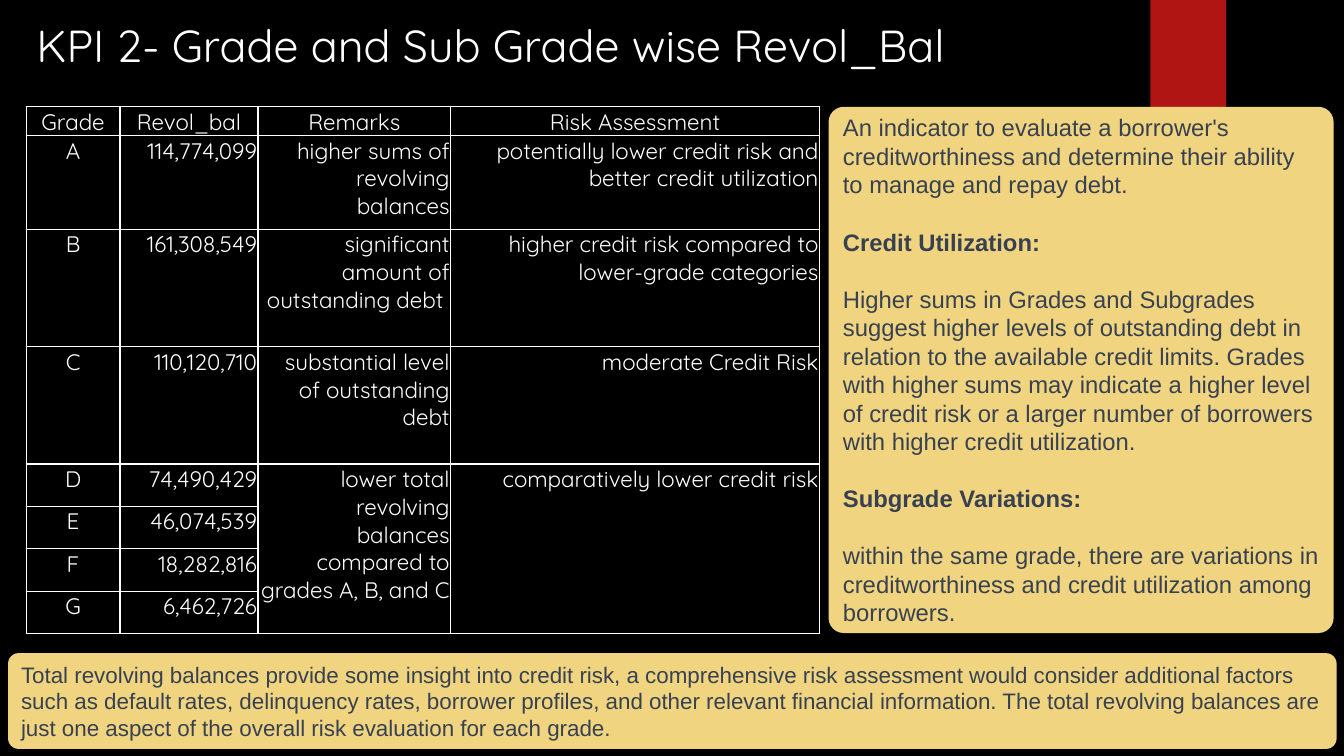
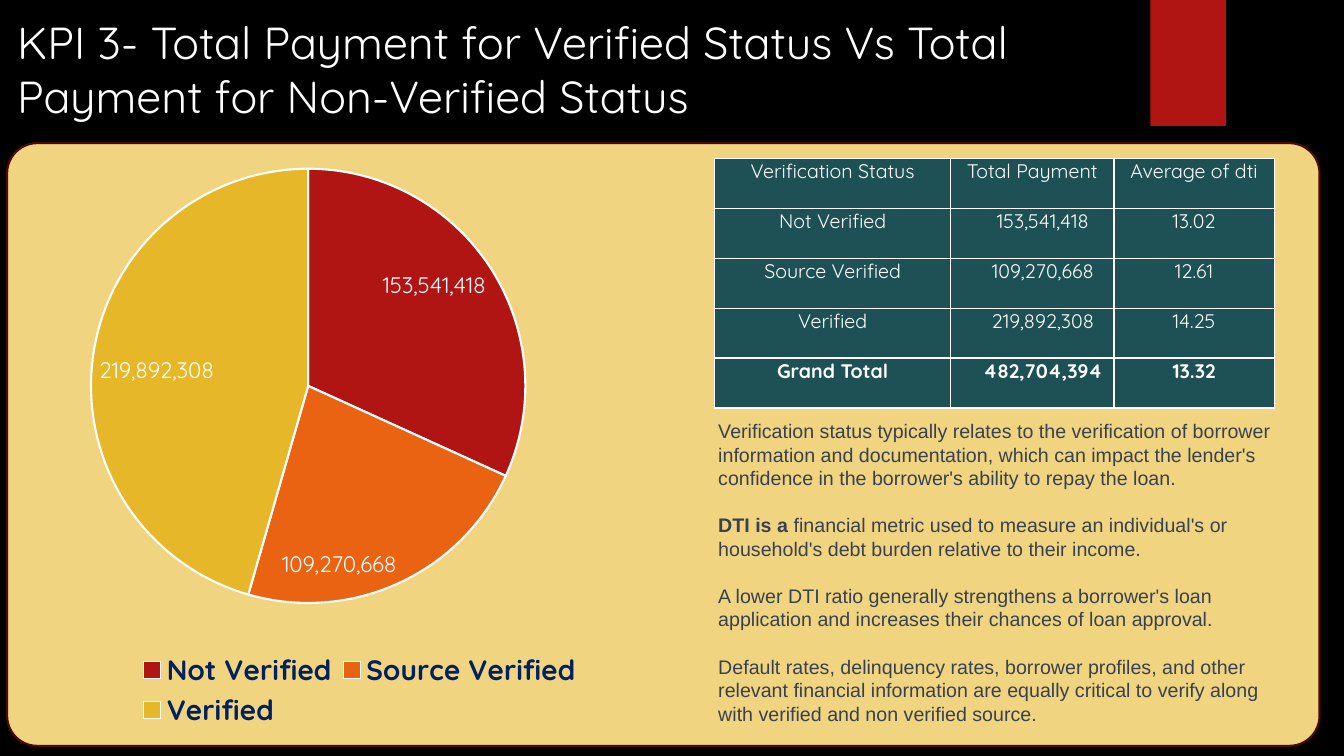
from dataclasses import dataclass
from typing import NamedTuple

from lxml import etree
from pptx import Presentation
from pptx.chart.data import CategoryChartData
from pptx.dml.color import RGBColor as Rgb
from pptx.enum.chart import XL_CHART_TYPE as ChartType
from pptx.enum.chart import XL_LABEL_POSITION as LabelPosition
from pptx.enum.chart import XL_LEGEND_POSITION as LegendPosition
from pptx.enum.shapes import MSO_SHAPE as Preset
from pptx.enum.text import MSO_ANCHOR as Anchor
from pptx.enum.text import PP_ALIGN as Align
from pptx.oxml import parse_xml
from pptx.oxml.ns import nsdecls, qn
from pptx.slide import Slide, SlideLayout
from pptx.util import Inches, Pt

SLIDE_WIDTH, SLIDE_HEIGHT = Inches(13.33), Inches(7.5)
TITLE_ONLY = 5


@dataclass(frozen=True)
class Theme:
    background: Rgb = Rgb.from_string("000000")
    light: Rgb = Rgb.from_string("FFFFFF")
    accent: Rgb = Rgb.from_string("B01513")
    orange: Rgb = Rgb.from_string("EA6312")
    gold: Rgb = Rgb.from_string("E6B729")
    panel: Rgb = Rgb.from_string("F0D47F")
    panel_line: Rgb = Rgb.from_string("4D0908")
    body_text: Rgb = Rgb.from_string("374151")
    table_fill: Rgb = Rgb.from_string("1E5155")
    legend_text: Rgb = Rgb.from_string("002060")
    heading_font: str = "Quicksand"
    body_font: str = "Arial"
    title_size: int = 32
    legend_size: int = 20
    large_size: int = 17
    medium_size: int = 16
    small_size: int = 14
    line_pitch: float = 1.2


THEME = Theme()


class Box(NamedTuple):
    """Left, top, width and height in percent of the slide."""

    left: float
    top: float
    width: float
    height: float

    def emu(self) -> tuple[int, int, int, int]:
        return (round(SLIDE_WIDTH * self.left / 100), round(SLIDE_HEIGHT * self.top / 100),
                round(SLIDE_WIDTH * self.width / 100), round(SLIDE_HEIGHT * self.height / 100))


class Run(NamedTuple):
    text: str
    bold: bool = False


@dataclass(frozen=True)
class Panel:
    box: Box
    corner: float
    paragraphs: tuple[tuple[Run, ...], ...] = ()
    size: int = THEME.medium_size
    outlined: bool = False


@dataclass(frozen=True)
class Grid:
    """A table; column and row values are relative shares of the box."""

    box: Box
    columns: tuple[float, ...]
    rows: tuple[float, ...]
    cells: tuple[tuple[str, ...], ...]
    aligns: tuple[Align, ...]
    size: int
    fill: Rgb | None = None
    indents: tuple[float, ...] = ()
    bold_last_row: bool = False
    merges: tuple[tuple[int, int, int, int], ...] = ()


def style_font(font, name: str, size: int, color: Rgb, bold: bool = False) -> None:
    font.name, font.size, font.bold = name, Pt(size), bold
    font.color.rgb = color


def add_title_slide(presentation, title: str, box: Box) -> Slide:
    slide = presentation.slides.add_slide(presentation.slide_layouts[TITLE_ONLY])
    placeholder = slide.shapes.title
    placeholder.left, placeholder.top, placeholder.width, placeholder.height = box.emu()
    frame = placeholder.text_frame
    frame.text = title
    frame.word_wrap, frame.vertical_anchor = True, Anchor.TOP
    paragraph = frame.paragraphs[0]
    paragraph.alignment = Align.LEFT
    paragraph.line_spacing = Pt(THEME.title_size * THEME.line_pitch)
    style_font(paragraph.font, THEME.heading_font, THEME.title_size, THEME.light)
    return slide


def move_band_to_layout(slide: Slide, layout: SlideLayout) -> None:
    """Draw the red band and hand it to the layout that all slides share."""
    band = slide.shapes.add_shape(Preset.RECTANGLE, *Box(85.6, 0, 5.63, 16.67).emu())
    band.shadow.inherit = False
    band.fill.solid()
    band.fill.fore_color.rgb = THEME.accent
    band.line.fill.background()
    layout.shapes.element.append(band.element)


def add_panel(slide: Slide, panel: Panel) -> None:
    shape = slide.shapes.add_shape(Preset.ROUNDED_RECTANGLE, *panel.box.emu())
    shape.adjustments[0] = panel.corner
    shape.shadow.inherit = False
    shape.fill.solid()
    shape.fill.fore_color.rgb = THEME.panel
    if panel.outlined:
        shape.line.color.rgb, shape.line.width = THEME.panel_line, Pt(1.5)
    else:
        shape.line.fill.background()
    frame = shape.text_frame
    frame.word_wrap, frame.vertical_anchor = True, Anchor.MIDDLE
    line_height = Pt(panel.size * THEME.line_pitch)
    for index, runs in enumerate(panel.paragraphs):
        paragraph = frame.add_paragraph() if index else frame.paragraphs[0]
        paragraph.alignment, paragraph.line_spacing = Align.LEFT, line_height
        paragraph.space_before = line_height if index else 0
        style_font(paragraph.font, THEME.body_font, panel.size, THEME.body_text)
        for part in runs:
            run = paragraph.add_run()
            run.text = part.text
            if part.bold:
                run.font.bold = True


def add_borders(cell) -> None:
    properties = cell._tc.get_or_add_tcPr()
    for side in ("lnL", "lnR", "lnT", "lnB"):
        properties.append(parse_xml(
            f'<a:{side} {nsdecls("a")} w="{Pt(1)}"><a:solidFill>'
            f'<a:srgbClr val="{THEME.light}"/></a:solidFill></a:{side}>'))


def add_grid(slide: Slide, grid: Grid) -> None:
    left, top, width, height = grid.box.emu()
    table = slide.shapes.add_table(len(grid.rows), len(grid.columns), left, top, width, height).table
    table.first_row = table.horz_banding = False
    for column, share in zip(table.columns, grid.columns):
        column.width = round(width * share / sum(grid.columns))
    for row, share in zip(table.rows, grid.rows):
        row.height = round(height * share / sum(grid.rows))
    for row_index, texts in enumerate(grid.cells):
        for column_index, text in enumerate(texts):
            cell = table.cell(row_index, column_index)
            cell.margin_left = cell.margin_right = cell.margin_top = Inches(0.01)
            cell.margin_bottom = 0
            if row_index and grid.indents:
                cell.margin_left = Inches(grid.indents[column_index])
            add_borders(cell)
            if grid.fill is None:
                cell.fill.background()
            else:
                cell.fill.solid()
                cell.fill.fore_color.rgb = grid.fill
            cell.text = text
            paragraph = cell.text_frame.paragraphs[0]
            paragraph.alignment = grid.aligns[column_index] if row_index else Align.CENTER
            bold = grid.bold_last_row and row_index == len(grid.rows) - 1
            style_font(paragraph.font, THEME.heading_font, grid.size, THEME.light, bold)
    for first_row, first_column, last_row, last_column in grid.merges:
        table.cell(first_row, first_column).merge(table.cell(last_row, last_column))


def manual_layout(area: Box, inner: bool = False) -> etree._Element:
    """Fixed place of a chart part, in percent of the chart."""
    target = '<c:layoutTarget val="inner"/>' if inner else ""
    sizes = "".join(f'<c:{tag} val="{value / 100}"/>' for tag, value in zip("xywh", area))
    return parse_xml(
        f'<c:layout {nsdecls("c")}><c:manualLayout>{target}<c:xMode val="edge"/>'
        f'<c:yMode val="edge"/>{sizes}</c:manualLayout></c:layout>')


def add_payment_pie(slide: Slide, box: Box, payments: dict[str, int]) -> None:
    data = CategoryChartData(number_format="#,##0")
    data.categories = list(payments)
    data.add_series("Series 1", list(payments.values()))
    chart = slide.shapes.add_chart(ChartType.PIE, *box.emu(), data).chart
    style_font(chart.font, THEME.heading_font, 10, THEME.light)
    chart.has_title, chart.has_legend = False, True
    legend = chart.legend
    legend.position, legend.include_in_layout = LegendPosition.BOTTOM, False
    style_font(legend.font, THEME.heading_font, THEME.legend_size, THEME.legend_text, True)

    plot = chart.plots[0]
    plot.vary_by_categories = plot.has_data_labels = True
    labels = plot.data_labels
    labels.show_value, labels.position = True, LabelPosition.INSIDE_END
    labels.number_format, labels.number_format_is_linked = "#,##0", False
    style_font(labels.font, THEME.heading_font, THEME.medium_size, THEME.light)
    for index, color in enumerate((THEME.accent, THEME.orange, THEME.gold)):
        slice_format = plot.series[0].points[index].format
        slice_format.fill.solid()
        slice_format.fill.fore_color.rgb = color
        slice_format.line.color.rgb, slice_format.line.width = THEME.light, Pt(1.5)

    chart_space = chart.element
    plot_area = next(chart_space.iter(qn("c:plotArea")))
    legend_place = next(chart_space.iter(qn("c:legendPos")))
    for parent in (plot_area, legend_place.getparent()):
        for old_layout in parent.findall(qn("c:layout")):
            parent.remove(old_layout)
    plot_area.insert(0, manual_layout(Box(11, 2.3, 63, 75), inner=True))
    legend_place.addnext(manual_layout(Box(17, 85, 66, 14.5)))


REVOLVING_TABLE = Grid(
    Box(1.95, 14.13, 59.03, 69.6), (0.93, 1.37, 1.91, 3.66),
    (0.28, 0.93, 1.16, 1.16) + (0.42,) * 4,
    (("Grade", "Revol_bal", "Remarks", "Risk Assessment"),
     ("A", "114,774,099", "higher sums of revolving balances",
      "potentially lower credit risk and better credit utilization"),
     ("B", "161,308,549", "significant amount of outstanding debt ",
      "higher credit risk compared to lower-grade categories"),
     ("C", "110,120,710", "substantial level of outstanding debt", "moderate Credit Risk"),
     ("D", "74,490,429", "lower total revolving balances compared to grades A, B, and C",
      "comparatively lower credit risk"),
     ("E", "46,074,539", "", ""), ("F", "18,282,816", "", ""), ("G", "6,462,726", "", "")),
    (Align.CENTER,) + (Align.RIGHT,) * 3, THEME.medium_size,
    merges=((4, 2, 7, 2), (4, 3, 7, 3)))

REVOLVING_PANELS = (
    Panel(Box(61.65, 14.13, 37.58, 69.6), 0.03, (
        (Run("An indicator to evaluate a borrower's creditworthiness and determine their ability to manage and repay debt."),),
        (Run("Credit Utilization:", True),),
        (Run("Higher sums in Grades and Subgrades suggest higher levels of outstanding debt in relation to the available credit limits. Grades with higher sums may indicate a higher level of credit risk or a larger number of borrowers with higher credit utilization."),),
        (Run("Subgrade Variations:", True),),
        (Run("within the same grade, there are variations in creditworthiness and credit utilization among borrowers."),),
    ), THEME.large_size),
    Panel(Box(0.6, 86.4, 98.85, 12.67), 0.11, (
        (Run("Total revolving balances provide some insight into credit risk, a comprehensive risk assessment would consider additional factors such as default rates, delinquency rates, borrower profiles, and other relevant financial information. The total revolving balances are just one aspect of the overall risk evaluation for each grade."),),
    )),
)

PAYMENTS = {"Not Verified": 153541418, "Source Verified": 109270668, "Verified": 219892308}
AVERAGE_DTI = ("13.02", "12.61", "14.25")

PAYMENT_TABLE = Grid(
    Box(53.18, 20.93, 41.63, 33.07), (2.34, 1.62, 1.59), (1,) * 5,
    (("Verification Status", "Total Payment", "Average of dti"),
     *((status, f"{total:,}", dti) for (status, total), dti in zip(PAYMENTS.items(), AVERAGE_DTI)),
     ("Grand Total", f"{sum(PAYMENTS.values()):,}", "13.32")),
    (Align.CENTER,) * 3, THEME.small_size, THEME.table_fill,
    indents=(0.01, 0.22, 0.01), bold_last_row=True)

PAYMENT_BACKDROP = Panel(Box(0.53, 18.93, 97.65, 79.73), 0.05, outlined=True)
PAYMENT_NOTES = Panel(Box(52.35, 54.27, 44.33, 42.8), 0.05, (
    (Run("Verification status typically relates to the verification of borrower information and documentation, which can impact the lender's confidence in the borrower's ability to repay the loan."),),
    (Run("DTI is a ", True),
     Run("financial metric used to measure an individual's or household's debt burden relative to their income.")),
    (Run("A lower DTI ratio generally strengthens a borrower's loan application and increases their chances of loan approval."),),
    (Run("Default rates, delinquency rates, borrower profiles, and other relevant financial information are equally critical to verify along with verified and non verified source."),),
), THEME.small_size)


def main() -> None:
    presentation = Presentation()
    presentation.slide_width, presentation.slide_height = SLIDE_WIDTH, SLIDE_HEIGHT
    background = presentation.slide_master.background.fill
    background.solid()
    background.fore_color.rgb = THEME.background

    revolving = add_title_slide(
        presentation, "KPI 2- Grade and Sub Grade wise Revol_Bal", Box(1.95, 1.73, 77.7, 8.53))
    move_band_to_layout(revolving, presentation.slide_layouts[TITLE_ONLY])
    add_grid(revolving, REVOLVING_TABLE)
    for panel in REVOLVING_PANELS:
        add_panel(revolving, panel)

    payment = add_title_slide(
        presentation,
        "KPI 3- Total Payment for Verified Status Vs Total Payment for Non-Verified Status",
        Box(0.53, 1.33, 83.03, 15.73))
    add_panel(payment, PAYMENT_BACKDROP)
    add_payment_pie(payment, Box(1.13, 20.53, 51.3, 76.67), PAYMENTS)
    add_grid(payment, PAYMENT_TABLE)
    add_panel(payment, PAYMENT_NOTES)
    presentation.save("out.pptx")


if __name__ == "__main__":
    main()
